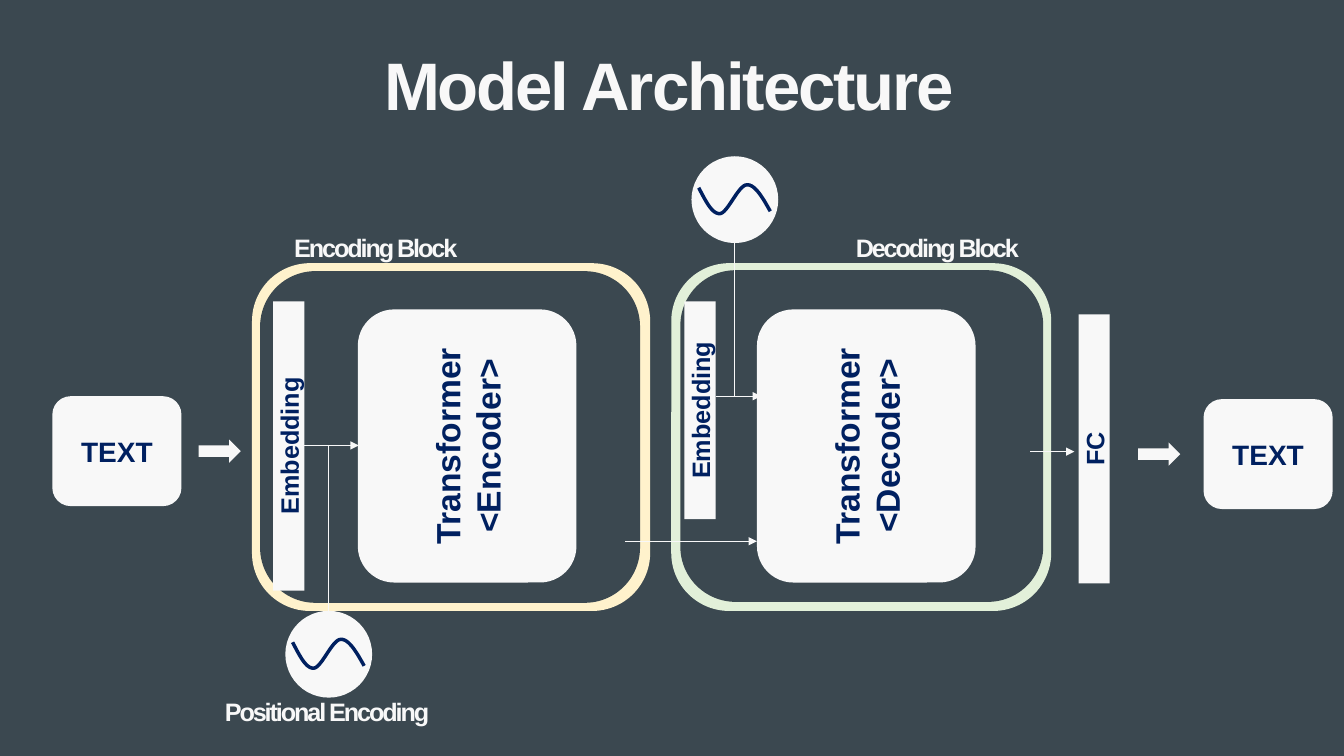
import enum

import pptx
import pptx.dml.color
import pptx.enum.shapes
import pptx.enum.text
import pptx.oxml
import pptx.oxml.ns
import pptx.util

Pt = pptx.util.Pt
MSO = pptx.enum.shapes.MSO_SHAPE
ALIGN = pptx.enum.text.PP_ALIGN
ANCHOR = pptx.enum.text.MSO_ANCHOR
FIT = pptx.enum.text.MSO_AUTO_SIZE
qn = pptx.oxml.ns.qn


class Theme(enum.Enum):
    BACK = "3B4850"
    LIGHT = "F8F8F8"
    NAVY = "002060"
    ENCODER = "FFF2CC"
    DECODER = "E2F0D9"
    FONT = "Arial"
    TITLE = 48
    BLOCK = 24
    TEXT = 20
    LABEL = 18

    @property
    def rgb(self):
        return pptx.dml.color.RGBColor.from_string(self.value)


def write(tf, text, size, color, align, spacing=None):
    """Fill a text frame; spacing is in hundredths of a point."""
    tf.text = text
    for p in tf.paragraphs:
        p.alignment = align
        for r in p.runs:
            r.font.name = Theme.FONT.value
            r.font.size = Pt(size.value)
            r.font.bold = True
            r.font.color.rgb = color.rgb
            if spacing:
                r.font._element.set("spc", str(spacing))


def add_block(kind, box, fill=Theme.LIGHT, text="", size=Theme.LABEL, vertical=False):
    sp = s.shapes.add_shape(kind, *map(Pt, box))
    sp.shadow.inherit = False
    sp.fill.solid()
    sp.fill.fore_color.rgb = fill.rgb
    sp.line.fill.background()
    if text:
        write(sp.text_frame, text, size, Theme.NAVY, ALIGN.CENTER)
        sp.text_frame.vertical_anchor = ANCHOR.MIDDLE
    if vertical:
        sp.text_frame._txBody.bodyPr.set("vert", "vert270")


prs = pptx.Presentation()
prs.slide_width, prs.slide_height = Pt(960), Pt(540)
s = prs.slides.add_slide(prs.slide_layouts[5])
s.background.fill.solid()
s.background.fill.fore_color.rgb = Theme.BACK.rgb

# Outlined frames: a coloured block with a background block inside
for box, fill in [
    ((479.5, 188, 271.4, 248.4), Theme.DECODER),
    ((486, 193, 259.2, 236.9), Theme.BACK),
    ((180, 188, 284.4, 248.4), Theme.ENCODER),
    ((185.8, 193.7, 271.4, 236.9), Theme.BACK),
]:
    add_block(MSO.ROUNDED_RECTANGLE, box, fill)

# Arrows and plain lines
for x1, y1, x2, y2, has_head in [
    (210.2, 318.2, 256.3, 318.2, True),
    (234.7, 318.2, 234.7, 436.3, False),
    (446.4, 386.6, 540.7, 386.6, True),
    (511.2, 283, 543.6, 283, True),
    (524.9, 283, 524.9, 173.5, False),
    (735.8, 322.6, 767.5, 322.6, True),
]:
    line = s.shapes.add_connector(
        pptx.enum.shapes.MSO_CONNECTOR.STRAIGHT, *map(Pt, (x1, y1, x2, y2)))
    line.line.color.rgb = Theme.LIGHT.rgb
    line.line.width = Pt(0.5)
    if has_head:
        head = pptx.oxml.parse_xml(
            f'<a:tailEnd {pptx.oxml.ns.nsdecls("a")} type="triangle"/>')
        line.line._get_or_add_ln().append(head)
    line._element.spPr.append(line._element.makeelement(qn("a:effectLst"), {}))

# Vertical bars
for x, y, height, text in [
    (195.1, 215.3, 206.6, "Embedding"),
    (488.9, 215.3, 155.5, "Embedding"),
    (770.4, 224.6, 192.2, "FC"),
]:
    add_block(MSO.RECTANGLE, (x, y, 22.3, height), text=text, vertical=True)

for x, name in [(255.6, "Encoder"), (540.7, "Decoder")]:
    add_block(MSO.ROUNDED_RECTANGLE, (x, 221, 156.2, 195.1),
              text=f"Transformer\n<{name}>", size=Theme.BLOCK, vertical=True)

# Input and output
for text_x, text_y, arrow_x in [(37.4, 283, 141.8), (859.7, 285.1, 812.9)]:
    add_block(MSO.ROUNDED_RECTANGLE, (text_x, text_y, 92.2, 78.5),
              text="TEXT", size=Theme.TEXT)
    add_block(MSO.RIGHT_ARROW, (arrow_x, text_y + 31, 30.2, 16.6))

# Positional encoding: circles with a wave made of three Bezier arcs
WAVE = [(5.2, 22.5), (10.2, 32), (14.6, 41.2), (20.3, 41), (26, 40.5),
        (33.5, 20.5), (39.6, 20.4), (45.4, 20), (51.1, 29.9), (56.3, 39.3)]
STEPS = 16
wave_points = []
for first in (0, 3, 6):
    arc = WAVE[first:first + 4]
    for step in range(1, STEPS + 1):
        t = step / STEPS
        weights = ((1 - t) ** 3, 3 * t * (1 - t) ** 2, 3 * t * t * (1 - t), t ** 3)
        wave_points.append(tuple(
            100 * sum(w * point[axis] for w, point in zip(weights, arc))
            for axis in (0, 1)))

for x, y in [(203.8, 436.3), (493.9, 111.6)]:
    add_block(MSO.OVAL, (x, y, 62, 62))
    builder = s.shapes.build_freeform(
        100 * WAVE[0][0], 100 * WAVE[0][1], scale=Pt(1) / 100)
    builder.add_line_segments(wave_points, close=False)
    wave = builder.convert_to_shape(Pt(x), Pt(y))
    wave.shadow.inherit = False
    wave.fill.background()
    wave.line.color.rgb = Theme.NAVY.rgb
    wave.line.width = Pt(2.5)

# Labels and title
captions = [(s.shapes.title, "Model Architecture", (274.3, 31, 410.4, 58.3), Theme.TITLE)]
for x, y, text in [
    (160.6, 497.5, "Positional Encoding"),
    (210.2, 165.6, "Encoding Block"),
    (611.3, 165.6, "Decoding Block"),
]:
    box = (x, y, 148.3, 21.6)
    captions.append((s.shapes.add_textbox(*map(Pt, box)), text, box, Theme.LABEL))

for sp, text, box, size in captions:
    sp.left, sp.top, sp.width, sp.height = map(Pt, box)
    tf = sp.text_frame
    tf.margin_left = tf.margin_top = tf.margin_right = tf.margin_bottom = 0
    tf.vertical_anchor = ANCHOR.TOP
    tf.auto_size = FIT.SHAPE_TO_FIT_TEXT
    tf.word_wrap = size is Theme.LABEL
    write(tf, text, size, Theme.LIGHT, ALIGN.LEFT, -150)

prs.save("out.pptx")
